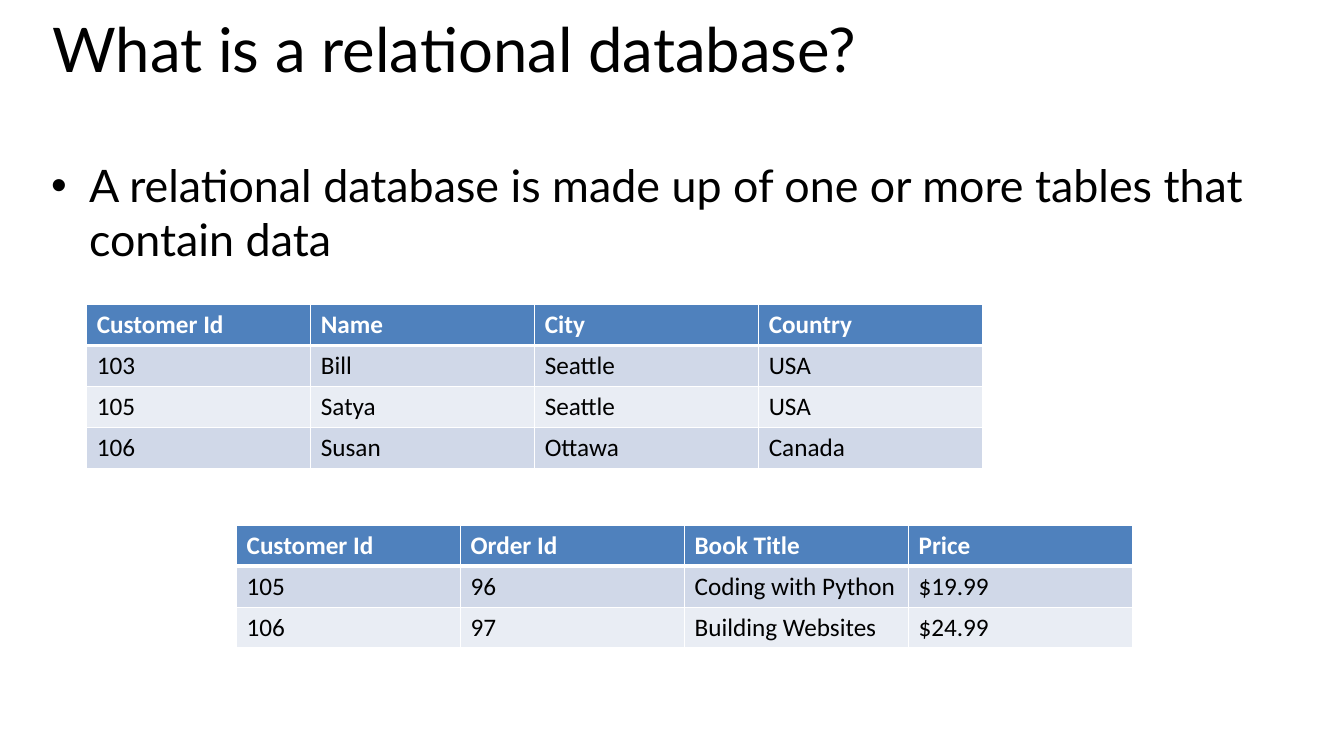
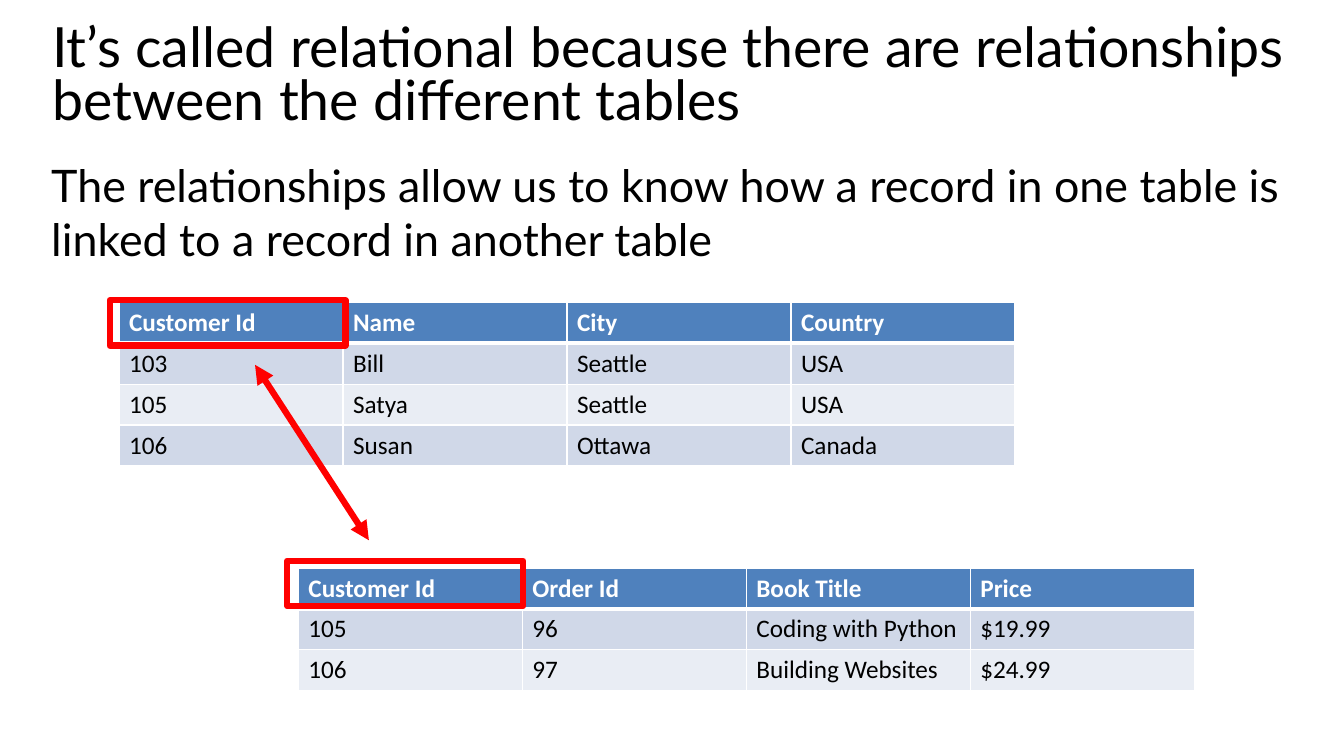
from lxml import etree
from pptx import Presentation
from pptx.dml.color import RGBColor
from pptx.enum.shapes import MSO_CONNECTOR, MSO_SHAPE
from pptx.enum.text import MSO_ANCHOR
from pptx.oxml.ns import qn
from pptx.util import Pt

LINE = MSO_CONNECTOR.STRAIGHT
RECT = MSO_SHAPE.RECTANGLE
TOP = MSO_ANCHOR.TOP

HUES = {"ink": "000000", "page": "FFFFFF", "head": "4F81BD",
        "dark": "D0D8E8", "light": "E9EDF4", "mark": "FF0000"}
COL, ROW = 160, 29.2
STROKE = 4.5
INDENT = 27

BUYERS = [["Customer Id", "Name", "City", "Country"],
          ["103", "Bill", "Seattle", "USA"],
          ["105", "Satya", "Seattle", "USA"],
          ["106", "Susan", "Ottawa", "Canada"]]
ORDERS = [["Customer Id", "Order Id", "Book Title", "Price"],
          ["105", "96", "Coding with Python", "$19.99"],
          ["106", "97", "Building Websites", "$24.99"]]


def hue(name):
    return RGBColor.from_string(HUES[name])


def put(item, **values):
    for key, value in values.items():
        setattr(item, key, value)


class Deck:
    """Hold the shared style and the current slide."""

    def __init__(self):
        self.show = Presentation()
        put(self.show, slide_width=Pt(960), slide_height=Pt(540))
        self.slide = None

    def page(self):
        self.slide = self.show.slides.add_slide(self.show.slide_layouts[6])

    def label(self, para, text, size, face="Lato", color="ink", bold=False):
        run = para.add_run()
        run.text = text
        put(run.font, name=face, size=Pt(size), bold=bold)
        run.font.color.rgb = hue(color)

    def text(self, text, box, size, **form):
        frame = self.slide.shapes.add_textbox(*map(Pt, box)).text_frame
        put(frame, word_wrap=True, vertical_anchor=TOP)
        para = frame.paragraphs[0]
        put(para, **form)
        self.label(para, text, size)
        return para

    def title(self, text, size=44):
        self.text(text, (30.2, 14.4, 907.2, 83.5), size, line_spacing=0.8)

    def body(self, text, bullet=False):
        para = self.text(text, (29.5, 109.4, 907.2, 416.9), 32,
                         space_before=Pt(14))
        if bullet:
            props = para._p.get_or_add_pPr()
            props.set("marL", str(Pt(INDENT)))
            props.set("indent", str(Pt(-INDENT)))
            etree.SubElement(props, qn("a:buFont")).set("typeface", "Arial")
            etree.SubElement(props, qn("a:buChar")).set("char", "•")

    def edge(self, cell, row):
        props = cell._tc.get_or_add_tcPr()
        wide = {"T": 3 if row == 1 else 1, "B": 1 if row else 3}
        for spot, side in enumerate("LRTB"):
            line = etree.Element(qn("a:ln" + side), w=str(Pt(wide.get(side, 1))))
            fill = etree.SubElement(line, qn("a:solidFill"))
            etree.SubElement(fill, qn("a:srgbClr"), val=HUES["page"])
            props.insert(spot, line)

    def table(self, rows, left, top):
        high, wide = len(rows), len(rows[0])
        grid = self.slide.shapes.add_table(
            high, wide, Pt(left), Pt(top), Pt(wide * COL), Pt(high * ROW)).table
        grid.horz_banding = False
        for col in grid.columns:
            col.width = Pt(COL)
        for r, row in enumerate(rows):
            grid.rows[r].height = Pt(ROW)
            back = ("dark" if r % 2 else "light") if r else "head"
            for c, text in enumerate(row):
                cell = grid.cell(r, c)
                cell.fill.solid()
                cell.fill.fore_color.rgb = hue(back)
                self.edge(cell, r)
                self.label(cell.text_frame.paragraphs[0], text, 18, "Calibri",
                           "ink" if r else "page", r == 0)

    def ink(self, line):
        line.color.rgb = hue("mark")
        line.width = Pt(STROKE)

    def frame(self, left, top):
        box = self.slide.shapes.add_shape(
            RECT, Pt(left), Pt(top), Pt(168.5), Pt(32.4))
        box.shadow.inherit = False
        box.fill.background()
        self.ink(box.line)

    def arrow(self, *ends):
        link = self.slide.shapes.add_connector(LINE, *map(Pt, ends))
        self.ink(link.line)
        props = link._element.spPr
        line = props.find(qn("a:ln"))
        for tip in ("a:headEnd", "a:tailEnd"):
            etree.SubElement(line, qn(tip), type="triangle")
        etree.SubElement(props, qn("a:effectLst"))


def main():
    deck = Deck()

    deck.page()
    deck.title("What is a relational database?")
    deck.body("A relational database is made up of one or more tables "
              "that contain data", bullet=True)
    deck.table(BUYERS, 62, 217.6)
    deck.table(ORDERS, 169, 375.3)

    deck.page()
    deck.title("It’s called relational because there are relationships "
               "between the different tables", 39.6)
    deck.body("The relationships allow us to know how a record in one table "
              "is linked to a record in another table")
    deck.table(BUYERS, 85, 216)
    deck.table(ORDERS, 213.1, 405.7)
    deck.frame(78.4, 214.4)
    deck.arrow(182.2, 260.6, 263.5, 385.9)
    deck.frame(205.2, 400.5)

    deck.show.save("out.pptx")


if __name__ == "__main__":
    main()
